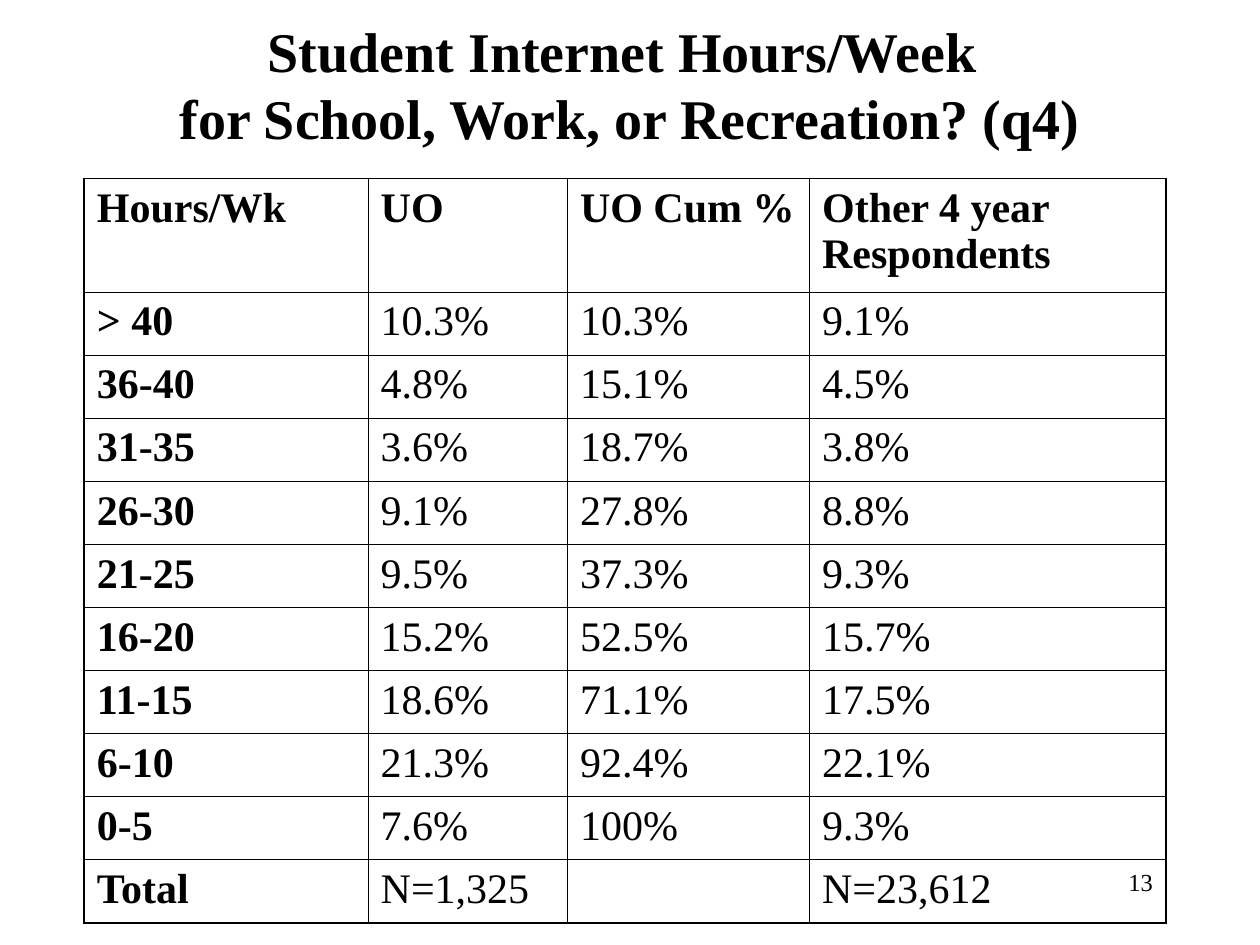
from dataclasses import dataclass

from lxml.etree import SubElement
from pptx import Presentation
from pptx.dml.color import RGBColor
from pptx.enum.text import MSO_ANCHOR, PP_ALIGN
from pptx.oxml.ns import qn
from pptx.util import Cm, Pt

FONT = "Times New Roman"
HEX = {"ink": "000000"}
THIN, THICK = Pt(0.45), Pt(1.08)
WIDTHS = (5.72, 4.02, 4.88, 7.18)
HEAD, ROW = 2.29, 1.27
ROWS = (
    ("Hours/Wk", "UO", "UO Cum %", "Other 4 year Respondents"),
    ("> 40", "10.3%", "10.3%", "9.1%"),
    ("36-40", "4.8%", "15.1%", "4.5%"),
    ("31-35", "3.6%", "18.7%", "3.8%"),
    ("26-30", "9.1%", "27.8%", "8.8%"),
    ("21-25", "9.5%", "37.3%", "9.3%"),
    ("16-20", "15.2%", "52.5%", "15.7%"),
    ("11-15", "18.6%", "71.1%", "17.5%"),
    ("6-10", "21.3%", "92.4%", "22.1%"),
    ("0-5", "7.6%", "100%", "9.3%"),
    ("Total", "N=1,325", "", "N=23,612"),
)


@dataclass
class Label:
    text: str
    left: float
    top: float
    width: float
    height: float
    size: int
    bold: bool
    align: PP_ALIGN
    anchor: MSO_ANCHOR


LABELS = (
    Label("13", 18.21, 17.35, 5.28, 1.27, 14, False,
          PP_ALIGN.RIGHT, MSO_ANCHOR.TOP),
    Label("Student Internet Hours/Week \vfor School, Work, or Recreation? (q4)",
          1.9, 0.42, 21.59, 2.54, 32, True, PP_ALIGN.CENTER, MSO_ANCHOR.MIDDLE),
)


def style(frame, size: int, bold: bool) -> None:
    for par in frame.paragraphs:
        for item in (par, *par.runs):
            item.font.name = FONT
            item.font.size = Pt(size)
            item.font.bold = bold
            item.font.color.rgb = RGBColor.from_string(HEX["ink"])


def add_label(slide, label: Label) -> None:
    box = slide.shapes.add_textbox(Cm(label.left), Cm(label.top),
                                   Cm(label.width), Cm(label.height))
    frame = box.text_frame
    frame.word_wrap = True
    frame.vertical_anchor = label.anchor
    frame.text = label.text
    frame.paragraphs[0].alignment = label.align
    style(frame, label.size, label.bold)


def add_edge(cell, side: str, width: int) -> None:
    line = SubElement(cell._tc.get_or_add_tcPr(), qn(f"a:ln{side}"), w=str(width))
    fill = SubElement(line, qn("a:solidFill"))
    SubElement(fill, qn("a:srgbClr"), val=HEX["ink"])


def add_grid(slide) -> None:
    rows, cols = len(ROWS), len(WIDTHS)
    height = HEAD + ROW * (rows - 1)
    table = slide.shapes.add_table(rows, cols, Cm(1.7), Cm(3.6),
                                   Cm(sum(WIDTHS)), Cm(height)).table
    table.first_row = table.horz_banding = False
    for col, width in zip(table.columns, WIDTHS):
        col.width = Cm(width)
    for y, texts in enumerate(ROWS):
        table.rows[y].height = Cm(ROW if y else HEAD)
        for x, text in enumerate(texts):
            cell = table.cell(y, x)
            cell.text_frame.text = text
            style(cell.text_frame, 24, x == 0 or y == 0)
            outer = {"L": x == 0, "R": x == cols - 1,
                     "T": y == 0, "B": y == rows - 1}
            for side, edge in outer.items():
                add_edge(cell, side, THICK if edge else THIN)
            cell.fill.background()


def main() -> None:
    deck = Presentation()
    deck.slide_width, deck.slide_height = Cm(25.4), Cm(19.05)
    slide = deck.slides.add_slide(deck.slide_layouts[6])
    for label in LABELS:
        add_label(slide, label)
    add_grid(slide)
    deck.save("out.pptx")


if __name__ == "__main__":
    main()
